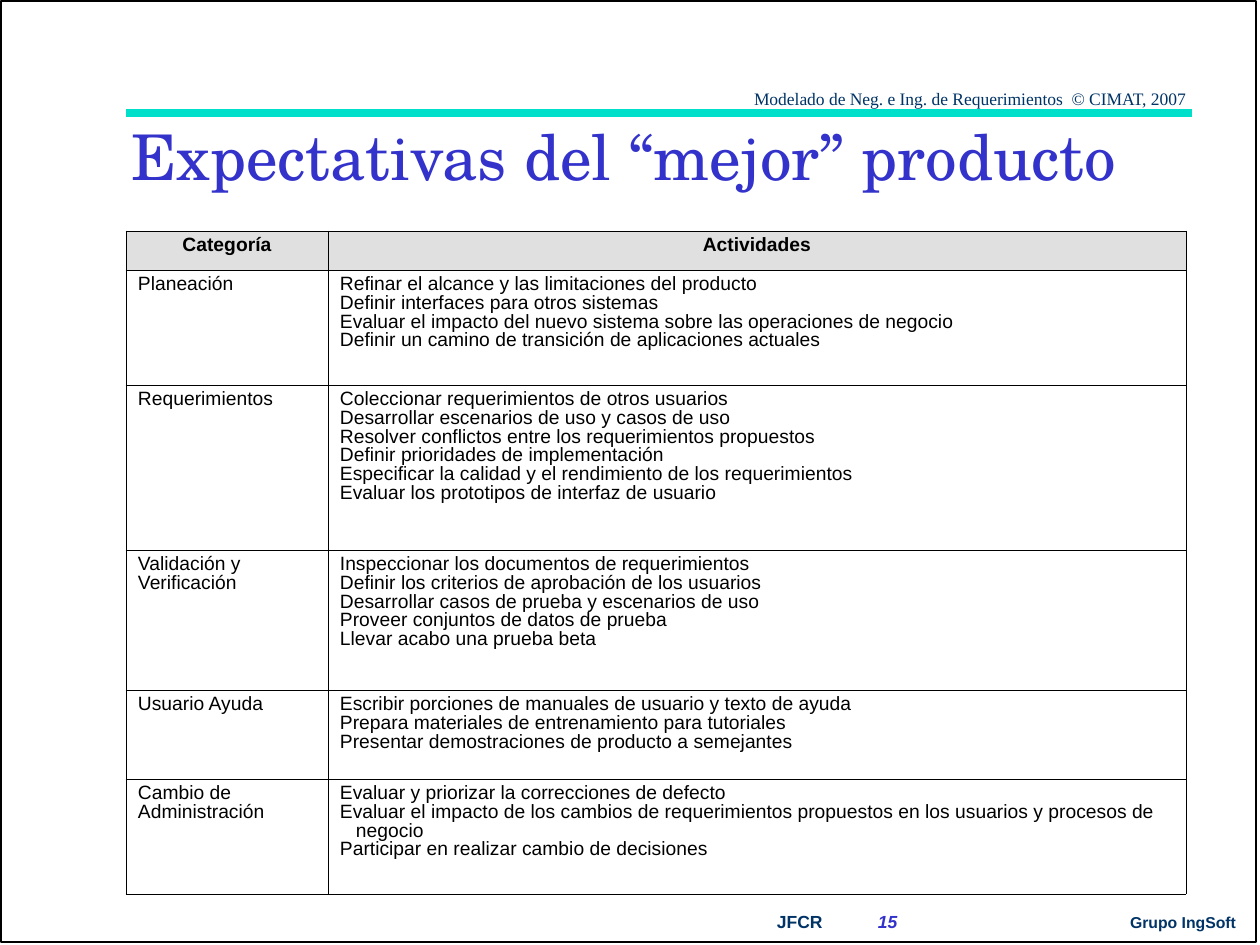
from dataclasses import dataclass
from lxml.etree import SubElement
from pptx import Presentation
from pptx.dml.color import RGBColor as Color
from pptx.enum.shapes import MSO_CONNECTOR as Connector, MSO_SHAPE as Shape
from pptx.enum.text import MSO_ANCHOR as Anchor, MSO_AUTO_SIZE as AutoSize, PP_ALIGN as Align
from pptx.oxml.ns import qn
from pptx.util import Emu, Pt


@dataclass(frozen=True)
class Theme:
    ink: str = "000000"
    navy: str = "003366"
    blue: str = "3333CC"
    teal: str = "00DFCA"
    gray: str = "E0E0E0"
    grid: str = "010000"
    sans: str = "Arial"
    serif: str = "Times New Roman"
    display: str = "TeX Gyre Schola"
    title_size: int = 36
    table_size: int = 11
    caption_size: int = 10
    group_size: int = 9


THEME = Theme()
PAGE = (0, 0, 1260, 945)
COLUMNS = (202, 858)
ROWS = (
    (39, ("Categoría",), ("Actividades",)),
    (115, ("Planeación",), (
        "Refinar el alcance y las limitaciones del producto",
        "Definir interfaces para otros sistemas",
        "Evaluar el impacto del nuevo sistema sobre las operaciones de negocio",
        "Definir un camino de transición de aplicaciones actuales")),
    (165, ("Requerimientos",), (
        "Coleccionar requerimientos de otros usuarios",
        "Desarrollar escenarios de uso y casos de uso",
        "Resolver conflictos entre los requerimientos propuestos",
        "Definir prioridades de implementación",
        "Especificar la calidad y el rendimiento de los requerimientos",
        "Evaluar los prototipos de interfaz de usuario")),
    (140, ("Validación y", "Verificación"), (
        "Inspeccionar los documentos de requerimientos",
        "Definir los criterios de aprobación de los usuarios",
        "Desarrollar casos de prueba y escenarios de uso",
        "Proveer conjuntos de datos de prueba",
        "Llevar acabo una prueba beta")),
    (89, ("Usuario Ayuda",), (
        "Escribir porciones de manuales de usuario y texto de ayuda",
        "Prepara materiales de entrenamiento para tutoriales",
        "Presentar demostraciones de producto a semejantes")),
    (115, ("Cambio de", "Administración"), (
        "Evaluar y priorizar la correcciones de defecto",
        "Evaluar el impacto de los cambios de requerimientos propuestos en los usuarios y procesos de negocio",
        "Participar en realizar cambio de decisiones")),
)


def px(length):
    return Emu(round(length * 914400 / 126))


def place(box):
    return [px(length) for length in box]


def apply(target, values):
    for name, value in values.items():
        setattr(target, name, value)


def set_margins(target, across, down):
    apply(target, {"margin_left": px(across), "margin_right": px(across),
                   "margin_top": px(down), "margin_bottom": px(down)})


def add_span(para, text, face, size, color, bold=False, italic=False):
    span = para.add_run()
    span.text = text
    apply(span.font, {"name": face, "size": Pt(size), "bold": bold, "italic": italic})
    span.font.color.rgb = Color.from_string(color)


def add_tabs(para, stops):
    tabs = SubElement(para._p.get_or_add_pPr(), qn("a:tabLst"))
    for position, align in stops:
        SubElement(tabs, qn("a:tab"), pos=str(px(position)), algn=align)


def set_hanging(para, indent):
    properties = para._p.get_or_add_pPr()
    properties.set("marL", str(px(indent)))
    properties.set("indent", str(-px(indent)))


def set_borders(cell, color, width):
    properties = cell._tc.get_or_add_tcPr()
    for position, side in enumerate(("lnL", "lnR", "lnT", "lnB")):
        line = properties.makeelement(qn(f"a:{side}"), {"w": str(Pt(width))})
        fill = SubElement(line, qn("a:solidFill"))
        SubElement(fill, qn("a:srgbClr"), val=color)
        properties.insert(position, line)


def add_frame(page, box):
    left, top, width, height = box
    frame = page.shapes.add_shape(Shape.RECTANGLE, *place((left + 1, top + 1, width - 5, height - 4)))
    frame.shadow.inherit = False
    frame.fill.background()
    frame.line.color.rgb = Color.from_string(THEME.ink)
    frame.line.width = Pt(1)


def add_footer(page, box):
    footer = page.shapes.add_textbox(*place(box)).text_frame
    set_margins(footer, 15, 8)
    apply(footer, {"word_wrap": True, "vertical_anchor": Anchor.MIDDLE})
    para = footer.paragraphs[0]
    add_tabs(para, ((754, "l"), (855, "l"), (1213, "r")))
    para.line_spacing = 0.97
    add_span(para, "\tJFCR\t", THEME.sans, THEME.caption_size, THEME.navy, bold=True)
    add_span(para, "15\t", THEME.sans, THEME.caption_size, THEME.blue, bold=True, italic=True)
    add_span(para, "Grupo IngSoft", THEME.sans, THEME.group_size, THEME.navy, bold=True)


def add_header(page, box):
    left, top, width, height = box
    bottom = top + height
    rule = page.shapes.add_connector(Connector.STRAIGHT, *place((left, bottom, left + width, bottom)))
    rule.line.color.rgb = Color.from_string(THEME.teal)
    rule.line.width = Pt(4.5)
    SubElement(rule._element.spPr, qn("a:effectLst"))
    caption = page.shapes.add_textbox(*place((left + 615, top, 462, 33))).text_frame
    set_margins(caption, 13, 6)
    caption.word_wrap = False
    para = caption.paragraphs[0]
    para.line_spacing = 0.97
    add_span(para, "Modelado de Neg. e Ing. de Requerimientos  © CIMAT, 2007",
             THEME.serif, THEME.caption_size, THEME.navy)


def add_title(page, box):
    title = page.shapes.title
    apply(title, dict(zip(("left", "top", "width", "height"), place(box))))
    text = title.text_frame
    set_margins(text, 0, 8)
    apply(text, {"word_wrap": True, "auto_size": AutoSize.NONE, "vertical_anchor": Anchor.TOP})
    para = text.paragraphs[0]
    apply(para, {"alignment": Align.LEFT, "line_spacing": 0.87})
    add_span(para, "Expectativas del “mejor” producto", THEME.display, THEME.title_size, THEME.blue)


def fill_cell(cell, lines, heading):
    set_margins(cell, 12, 6)
    cell.vertical_anchor = Anchor.TOP
    if heading:
        cell.fill.solid()
        cell.fill.fore_color.rgb = Color.from_string(THEME.gray)
    else:
        cell.fill.background()
    set_borders(cell, THEME.grid, 0.45)
    text = cell.text_frame
    for index, line in enumerate(lines):
        para = text.add_paragraph() if index else text.paragraphs[0]
        set_hanging(para, 16)
        apply(para, {"alignment": Align.CENTER if heading else Align.LEFT, "line_spacing": 0.87})
        add_span(para, line, THEME.sans, THEME.table_size, THEME.ink, bold=heading)


def add_activities(page, box):
    table = page.shapes.add_table(len(ROWS), len(COLUMNS), *place(box)).table
    apply(table, {"first_row": False, "horz_banding": False})
    for column, width in zip(table.columns, COLUMNS):
        column.width = px(width)
    for index, (height, *texts) in enumerate(ROWS):
        table.rows[index].height = px(height)
        for cell, lines in zip(table.rows[index].cells, texts):
            fill_cell(cell, lines, heading=index == 0)


def main():
    deck = Presentation()
    apply(deck, {"slide_width": px(PAGE[2]), "slide_height": px(PAGE[3])})
    page = deck.slides.add_slide(deck.slide_layouts[5])
    add_footer(page, (8, 906, 1245, 33))
    add_frame(page, PAGE)
    add_header(page, (126, 83, 1066, 30))
    add_title(page, (131, 120, 1066, 79))
    add_activities(page, (126, 231, sum(COLUMNS), sum(row[0] for row in ROWS)))
    deck.save("out.pptx")


if __name__ == "__main__":
    main()
